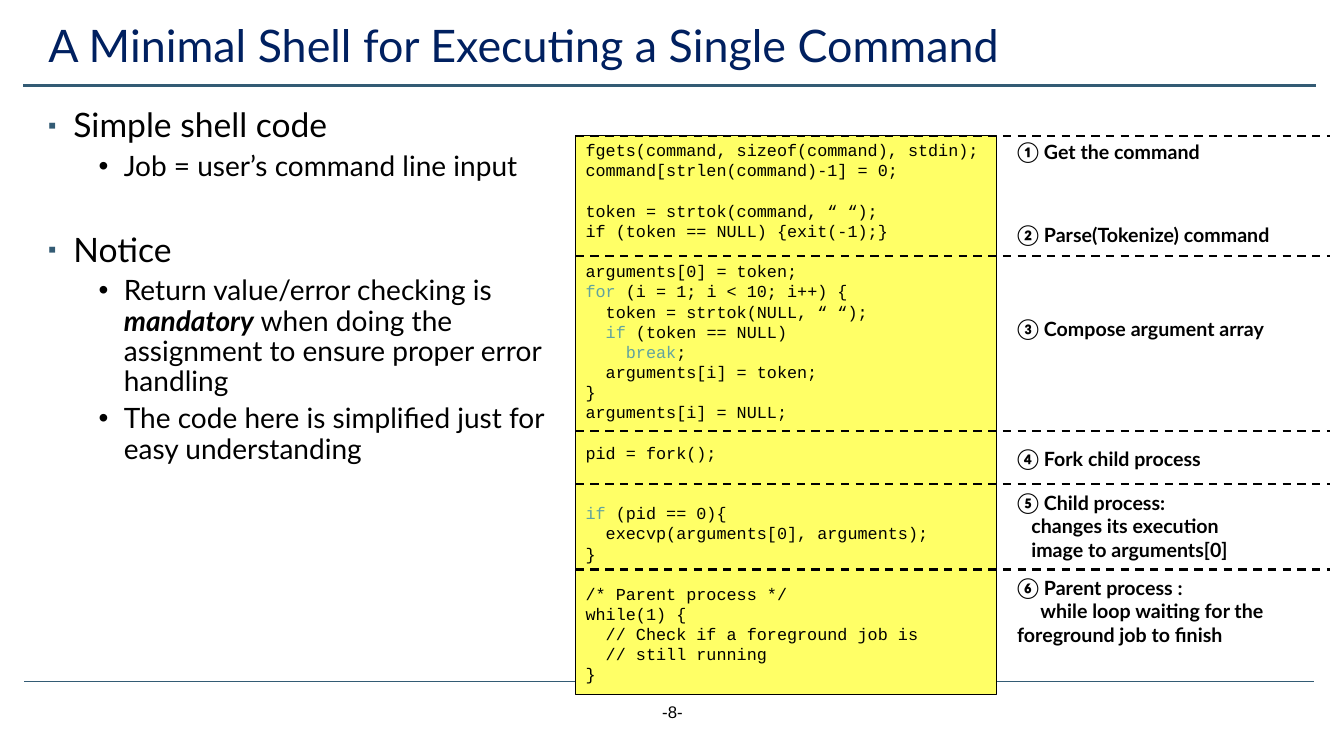
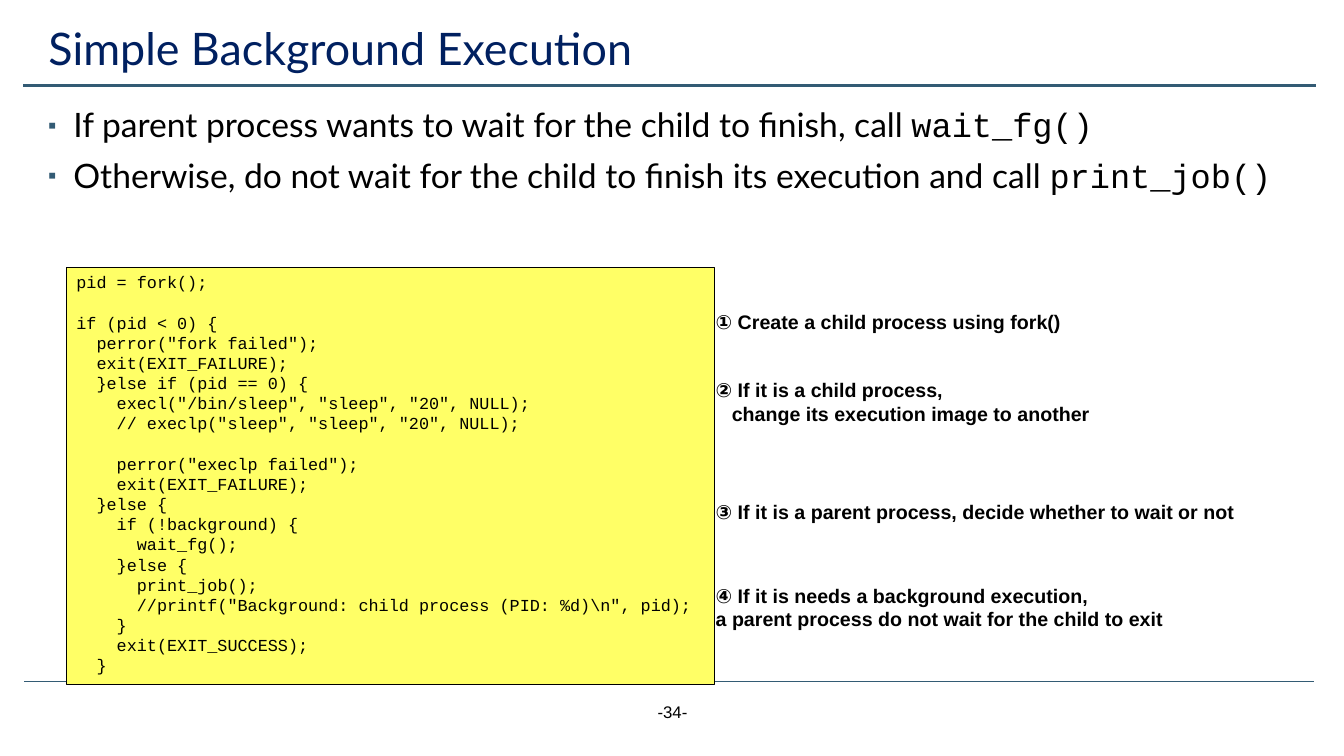
from lxml import etree
from pptx import Presentation
from pptx import util as u
from pptx.dml.color import RGBColor
from pptx.enum import dml, shapes, text
from pptx.oxml import ns

PX = 9144  # EMU in one px, 100 px to the inch
COLORS = {
    "title": "002060",
    "rule": "335B74",
    "ink": "000000",
    "code_fill": "FFFF66",
    "keyword": "62A39F",
}
SANS, PLAIN, MONO = "Lato", "Arial", "Courier New"
CODE_SIZE, CODE_PITCH, CODE_CHAR = 12, 14.4, 7.2  # points

# Pieces between bars are keywords
SHELL_CODE = """\
fgets(command, sizeof(command), stdin);
command[strlen(command)-1] = 0;

token = strtok(command, “ “);
if (token == NULL) {exit(-1);}

arguments[0] = token;
|for| (i = 1; i < 10; i++) {
  token = strtok(NULL, “ “);
  |if| (token == NULL)
    |break|;
  arguments[i] = token;
}
arguments[i] = NULL;

pid = fork();


|if| (pid == 0){
  execvp(arguments[0], arguments);
}

/* Parent process */
while(1) {
  // Check if a foreground job is
  // still running
}"""

BACKGROUND_CODE = r"""pid = fork();

if (pid < 0) {
  perror("fork failed");
  exit(EXIT_FAILURE);
  }else if (pid == 0) {
    execl("/bin/sleep", "sleep", "20", NULL);
    // execlp("sleep", "sleep", "20", NULL);

    perror("execlp failed");
    exit(EXIT_FAILURE);
  }else {
    if (!background) {
      wait_fg();
    }else {
      print_job();
      //printf("Background: child process (PID: %d)\n", pid);
    }
    exit(EXIT_SUCCESS);
  }"""


def px(length):
    return u.Emu(length * PX)


def color(name):
    return RGBColor.from_string(COLORS[name])


def style(para, face, size, ink="ink", bold=False):
    para.font.name, para.font.size, para.font.bold = face, u.Pt(size), bold
    para.font.color.rgb = color(ink)


def indent(para, left, first=0):
    """Set the left margin and first-line offset, in EMU."""
    props = para._p.get_or_add_pPr()
    props.set("marL", str(int(left)))
    props.set("indent", str(int(first)))


def write(para, line, mark=None):
    """Add runs; pieces between bars are passed to mark."""
    for number, piece in enumerate(line.split("|")):
        if piece:
            span = para.add_run()
            span.text = piece
            if number % 2:
                mark(span.font)


def paragraphs(frame, lines):
    """Yield a paragraph of the frame for each line."""
    for number, line in enumerate(lines):
        yield (frame.add_paragraph() if number else frame.paragraphs[0]), line


def text_frame(page, box):
    frame = page.shapes.add_textbox(*map(px, box)).text_frame
    frame.word_wrap = True
    return frame


def rule(page, start, end, ink, width, dash=None):
    line = page.shapes.add_connector(
        shapes.MSO_CONNECTOR.STRAIGHT, *map(px, start + end))
    line.line.color.rgb = color(ink)
    line.line.width = u.Pt(width)
    line.line.dash_style = dash
    etree.SubElement(line._element.spPr, ns.qn("a:effectLst"))


def titled_page(deck, title, top, number):
    """Add a page with its title, two rules and page number."""
    page = deck.slides.add_slide(deck.slide_layouts[5])
    rule(page, (24, 676), (1303, 676), "rule", 0.5)
    rule(page, (23, 85), (1305, 85), "rule", 1.75)

    head = page.shapes.title
    head.left, head.top, head.width, head.height = map(px, (38, top, 1243, 63))
    frame = head.text_frame
    frame.text = title
    frame.auto_size = text.MSO_AUTO_SIZE.NONE
    frame.vertical_anchor = text.MSO_ANCHOR.MIDDLE
    para = frame.paragraphs[0]
    para.alignment = text.PP_ALIGN.LEFT
    para.line_spacing = 0.9
    style(para, SANS, 32, "title")

    para = text_frame(page, (517, 691, 300, 40)).paragraphs[0]
    para.alignment = text.PP_ALIGN.CENTER
    style(para, PLAIN, 12)
    write(para, f"-{number}-")
    return page


def add_bullet(para, level):
    props = para._p.get_or_add_pPr()
    if level == 0:
        tint = etree.SubElement(props, ns.qn("a:buClr"))
        etree.SubElement(tint, ns.qn("a:srgbClr"), val=COLORS["rule"])
        etree.SubElement(props, ns.qn("a:buSzPct"), val="70000")
    etree.SubElement(props, ns.qn("a:buFont"), typeface=PLAIN)
    etree.SubElement(props, ns.qn("a:buChar"), char="▪•"[level])


def bullet_list(page, box, items, mark=None):
    """Items are (level, space before in points, text)."""
    for para, (level, gap, line) in paragraphs(text_frame(page, box), items):
        para.level = level
        para.line_spacing = 0.9
        para.space_before = u.Pt(gap)
        indent(para, px(25 + 50 * level), px(-25))
        add_bullet(para, level)
        style(para, SANS, 24 - 4 * level)
        write(para, line, mark)


def mark_keyword(font):
    font.color.rgb = color("keyword")


def mark_strong(font):
    font.bold = font.italic = True


def mark_mono(font):
    font.name = MONO


def code_panel(page, box, code):
    """Draw code; blank lines become spacing, leading spaces indents."""
    panel = page.shapes.add_shape(shapes.MSO_SHAPE.RECTANGLE, *map(px, box))
    panel.shadow.inherit = False
    panel.fill.solid()
    panel.fill.fore_color.rgb = color("code_fill")
    panel.line.color.rgb = color("ink")
    panel.line.width = u.Pt(0.75)
    frame = panel.text_frame
    frame.word_wrap = True
    frame.vertical_anchor = text.MSO_ANCHOR.TOP

    rows, blanks = [], 0
    for line in code.splitlines():
        if line:
            rows.append((blanks, line))
        blanks = 0 if line else blanks + 1
    for para, (blanks, line) in paragraphs(frame, rows):
        bare = line.lstrip()
        para.alignment = text.PP_ALIGN.LEFT
        para.line_spacing = u.Pt(CODE_PITCH)
        para.space_before = u.Pt(CODE_PITCH * blanks)
        indent(para, u.Pt(CODE_CHAR * (len(line) - len(bare))))
        style(para, MONO, CODE_SIZE)
        write(para, bare, mark_keyword)


def step_labels(page, left, width, face, steps, pitch=None):
    """Steps are (top, lines, first-line indent of the later lines)."""
    for top, lines, shift in steps:
        box = (left, top, width, 11 + 23 * len(lines))
        for para, line in paragraphs(text_frame(page, box), lines):
            if pitch:
                para.line_spacing = u.Pt(pitch)
            indent(para, 0, 0 if line == lines[0] else px(shift))
            style(para, face, 14, bold=True)
            write(para, line)


def shell_page(deck):
    page = titled_page(
        deck, "A Minimal Shell for Executing a Single Command", 16, 8)
    bullet_list(page, (38, 103, 542, 562), [
        (0, 10, "Simple shell code"),
        (1, 5, "Job = user’s command line input"),
        (0, 36.6, "Notice"),
        (1, 5, "Return value/error checking is |mandatory| when doing the "
               "assignment to ensure proper error handling"),
        (1, 5, "The code here is simplified just for easy understanding"),
    ], mark_strong)
    code_panel(page, (571, 134, 417, 555), SHELL_CODE)
    step_labels(page, 999, 298, SANS, [
        (134, ["① Get the command"], 0),
        (216, ["② Parse(Tokenize) command"], 0),
        (309, ["③ Compose argument array"], 0),
        (438, ["④ Fork child process"], 0),
        (482, ["⑤ Child process:", "changes its execution",
               "image to arguments[0]"], 14),
        (566, ["⑥ Parent process :",
               "while loop waiting for the foreground job to finish"], 23),
    ])
    # Dashed lines between the steps
    for y in (135, 254, 428, 480, 565):
        rule(page, (571, y), (1319, y), "ink", 1.5, dml.MSO_LINE.DASH)


def background_page(deck):
    page = titled_page(deck, "Simple Background Execution", 19, 34)
    bullet_list(page, (38, 103, 1243, 562), [
        (0, 10, "If parent process wants to wait for the child to finish, "
                "call |wait_fg()|"),
        (0, 10, "Otherwise, do not wait for the child to finish its "
                "execution and call |print_job()|"),
    ], mark_mono)
    code_panel(page, (66, 265, 643, 414), BACKGROUND_CODE)
    step_labels(page, 700, 623, PLAIN, [
        (303, ["① Create a child process using fork()"], 0),
        (370, ["② If it is a child process,",
               "change its execution image to another"], 16),
        (491, ["③ If it is a parent process, decide whether to wait or not"],
         0),
        (574, ["④ If it is needs a background execution,",
               "a parent process do not wait for the child to exit"], 0),
    ], pitch=16.8)


def main():
    deck = Presentation()
    deck.slide_width, deck.slide_height = px(1333), px(750)
    shell_page(deck)
    background_page(deck)
    deck.save("out.pptx")


if __name__ == "__main__":
    main()
